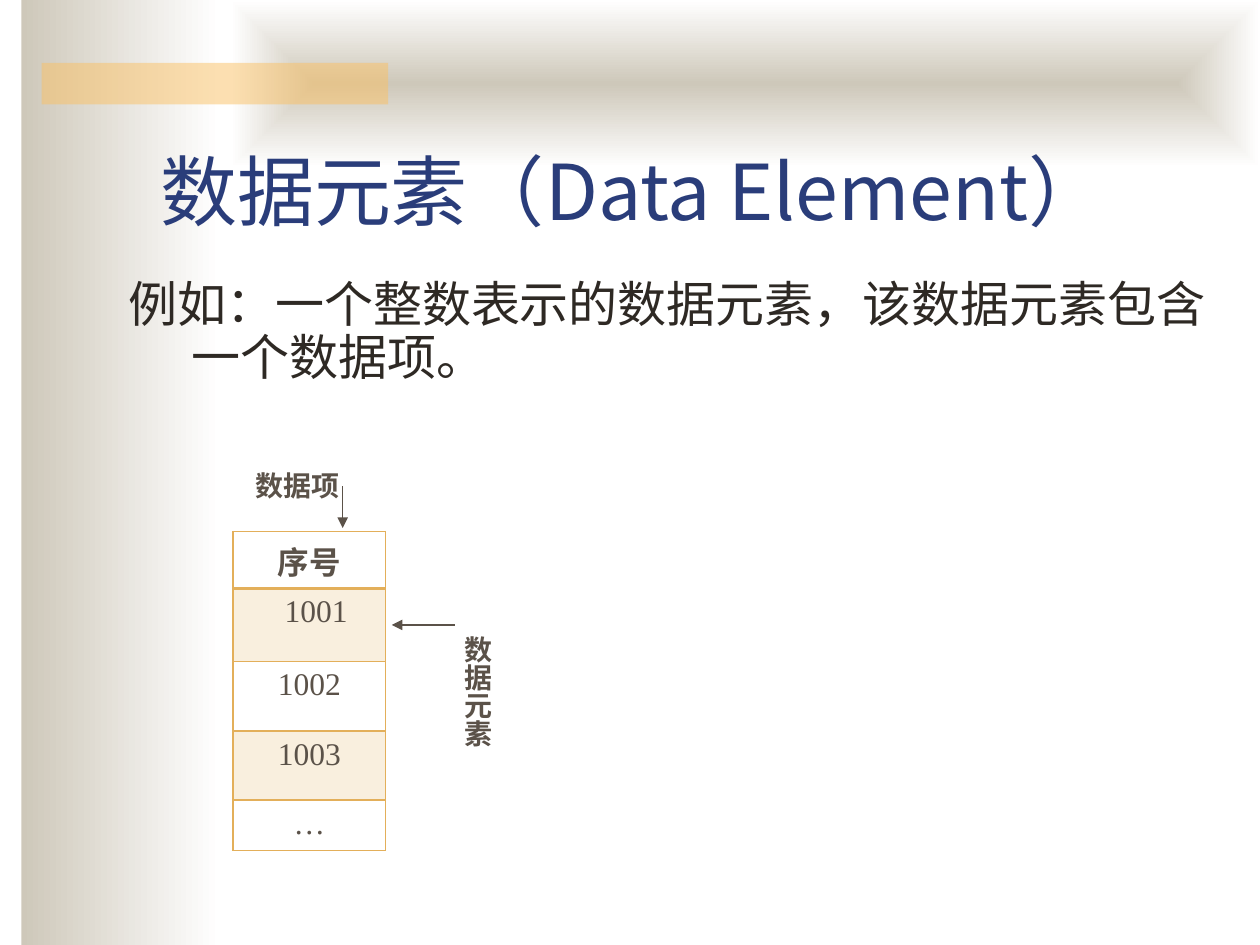
from lxml.etree import SubElement
from pptx import Presentation
from pptx.dml.color import RGBColor
from pptx.enum.shapes import MSO_CONNECTOR, MSO_SHAPE
from pptx.enum.text import MSO_ANCHOR, MSO_AUTO_SIZE, PP_ALIGN
from pptx.oxml import parse_xml
from pptx.oxml.ns import nsdecls, qn
from pptx.util import Inches, Pt

COLORS = {"sand": "CEC8BA", "white": "FFFFFF", "amber": "FAC164", "navy": "2A3D7A",
          "ink": "2E2924", "brown": "5B5249", "gold": "E3AF5A"}
CJK, SERIF = "Noto Sans CJK SC", "Times New Roman"

TITLE = "数据元素（Data Element）"
EXAMPLE = "例如：一个整数表示的数据元素，该数据元素包含一个数据项。"
PANELS = [((0.17, 0, 1.58, 7.5), "side"), ((1.83, 0, 8.17, 1.33), "band"),
          ((0.33, 0.5, 2.75, 0.33), "accent")]
ARROWS = [(2.72, 3.86, 2.72, 4.19), (3.61, 4.96, 3.11, 4.96)]
LABELS = [("数据元素", (3.5, 4.95, 0.47, 1.15), "eaVert"),
          ("数据项", (1.93, 3.67, 0.92, 0.37), "horz")]
TABLE_BOX = (1.85, 4.22, 1.21, 2.53)
ROWS = [("序号", 0.45), ("1001", 0.58), ("1002", 0.55), ("1003", 0.55), ("…", 0.4)]
INDENTED = "1001"

FORMATS = {
    "title": {"size": Pt(44), "name": CJK, "bold": False},
    "body": {"size": Pt(28), "name": CJK, "bold": False},
    "label": {"size": Pt(16), "name": SERIF, "bold": True},
    "header": {"size": Pt(18), "name": SERIF, "bold": True},
    "cell": {"size": Pt(18), "name": SERIF, "bold": False},
}


def rgb(color):
    return RGBColor.from_string(COLORS[color])


def inches(box):
    return [Inches(length) for length in box]


def write(frame, text, style, color):
    paragraph = frame.paragraphs[0]
    run = paragraph.add_run()
    run.text = text
    for attribute, value in FORMATS[style].items():
        setattr(run.font, attribute, value)
    run.font.color.rgb = rgb(color)
    SubElement(run.font._element, qn("a:ea"), typeface=CJK)
    return paragraph


def place(shape, box):
    for side, length in zip(("left", "top", "width", "height"), inches(box)):
        setattr(shape, side, length)


def tint(fill, color, percent):
    fill.solid()
    fill.fore_color.rgb = rgb(color)
    srgb = next(fill._xPr.iterchildren(qn("a:solidFill")))[0]
    SubElement(srgb, qn("a:alpha"), val=str(percent * 1000))


def add_panel(slide, box, role):
    panel = slide.shapes.add_shape(MSO_SHAPE.RECTANGLE, *inches(box))
    panel.shadow.inherit = False
    panel.line.fill.background()
    if role == "accent":
        tint(panel.fill, "amber", 50)
    else:
        panel.fill.gradient()
        panel.fill.gradient_angle = 0
        for stop, color, position in zip(panel.fill.gradient_stops, ("sand", "white"), (0, 1)):
            stop.color.rgb = rgb(color)
            stop.position = position
    if role == "band":
        linear = next(panel.element.iter(qn("a:lin")))
        linear.getparent().replace(linear, parse_xml(
            f'<a:path {nsdecls("a")} path="shape">'
            '<a:fillToRect l="50000" t="50000" r="50000" b="50000"/></a:path>'))
    slide.shapes.title.element.addprevious(panel.element)


def add_arrow(slide, ends):
    arrow = slide.shapes.add_connector(MSO_CONNECTOR.STRAIGHT, *inches(ends))
    arrow.line.color.rgb = rgb("brown")
    arrow.line.width = Pt(0.75)
    SubElement(arrow.line._get_or_add_ln(), qn("a:tailEnd"), type="triangle")
    SubElement(arrow.element.spPr, qn("a:effectLst"))


def add_label(slide, text, box, direction):
    frame = slide.shapes.add_textbox(*inches(box)).text_frame
    frame.word_wrap = True
    frame._txBody.bodyPr.set("vert", direction)
    write(frame, text, "label", "brown")


def add_borders(cell, widths):
    properties = cell._tc.get_or_add_tcPr()
    for index, (side, width) in enumerate(widths.items()):
        properties.insert(index, parse_xml(
            f'<a:ln{side} {nsdecls("a")} w="{Pt(width)}"><a:solidFill>'
            f'<a:srgbClr val="{COLORS["gold"]}"/></a:solidFill></a:ln{side}>'))


def add_records(slide):
    table = slide.shapes.add_table(len(ROWS), 1, *inches(TABLE_BOX)).table
    table.first_row = table.horz_banding = False
    for index, (text, height) in enumerate(ROWS):
        table.rows[index].height = Inches(height)
        cell = table.cell(index, 0)
        if index % 2:
            tint(cell.fill, "gold", 20)
        else:
            cell.fill.background()
        add_borders(cell, {"L": 1, "R": 1, "T": 2 if index == 1 else 1,
                           "B": 2 if index == 0 else 1})
        paragraph = write(cell.text_frame, text, "cell" if index else "header", "brown")
        paragraph.alignment = PP_ALIGN.CENTER
        if text == INDENTED:
            paragraph.alignment = PP_ALIGN.LEFT
            cell.margin_left = Inches(0.41)


def main():
    """Build the data element slide."""
    presentation = Presentation()
    presentation.slide_width, presentation.slide_height = inches((10, 7.5))
    slide = presentation.slides.add_slide(presentation.slide_layouts[1])
    title, body = slide.shapes.title, slide.placeholders[1]

    for panel in PANELS:
        add_panel(slide, *panel)

    place(title, (1.17, 1, 8.5, 0.92))
    title.text_frame.vertical_anchor = MSO_ANCHOR.BOTTOM
    write(title.text_frame, TITLE, "title", "navy").alignment = PP_ALIGN.LEFT
    place(body, (0.92, 2.17, 8.75, 2))
    example = write(body.text_frame, EXAMPLE, "body", "ink")
    example.line_spacing = 0.9
    indents = example._p.get_or_add_pPr()
    indents.set("marL", str(Inches(0.5)))
    indents.set("indent", str(Inches(-0.5)))
    SubElement(indents, qn("a:buNone"))
    for placeholder in (title, body):
        placeholder.text_frame.auto_size = MSO_AUTO_SIZE.NONE

    for arrow in ARROWS:
        add_arrow(slide, arrow)
    for label in LABELS:
        add_label(slide, *label)
    add_records(slide)
    presentation.save("out.pptx")


if __name__ == "__main__":
    main()
